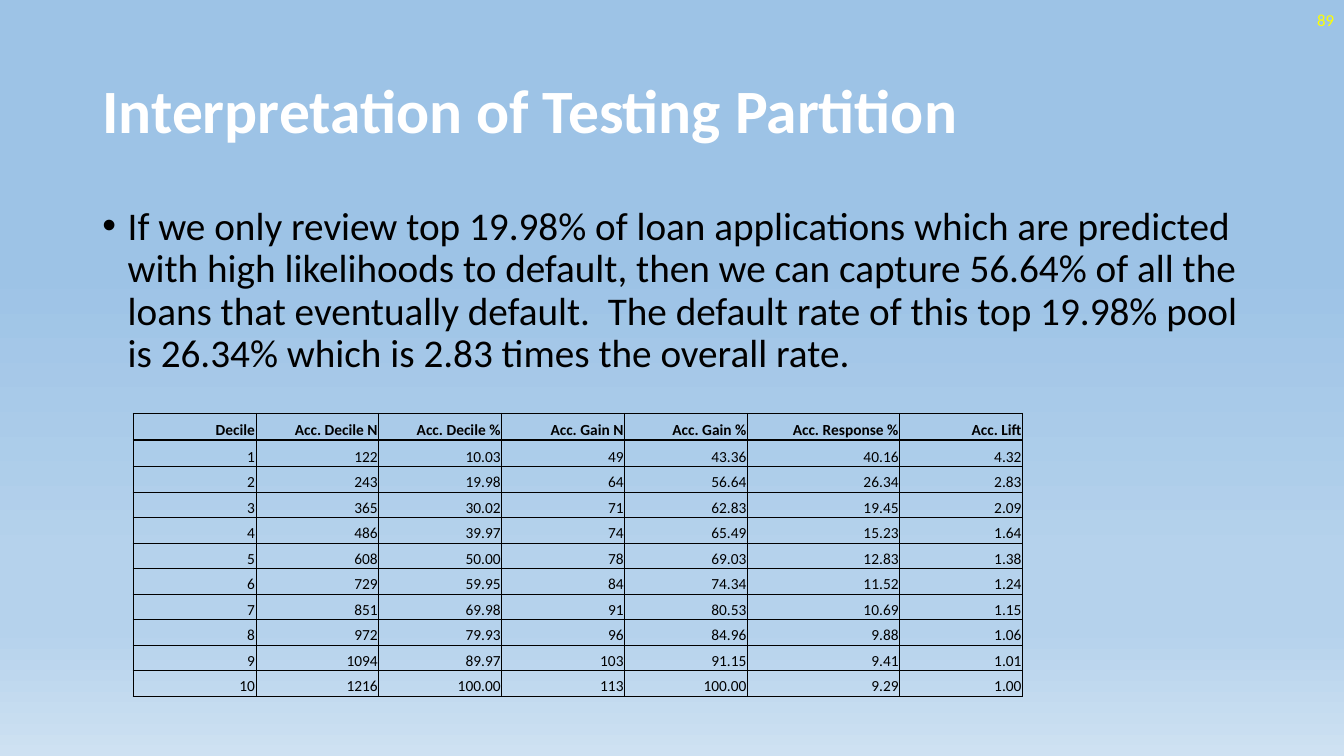
"""Build the slide that interprets the testing partition of a loan default model."""
from dataclasses import dataclass

import lxml.etree
import pptx
import pptx.dml.color
import pptx.enum.text
import pptx.oxml.ns
import pptx.util

Pt = pptx.util.Pt
ALIGN = pptx.enum.text.PP_ALIGN
ANCHOR = pptx.enum.text.MSO_ANCHOR
FONT = "Calibri"
COLORS = {"title": "FFFFFF", "text": "000000", "number": "FFFF00",
          "sky": "9DC3E6", "mid": "B5D2EC", "pale": "CEE1F2"}
BACKGROUND_STOPS = [(35, "sky"), (74, "mid"), (83, "mid"), (100, "pale")]
THIN, THICK = 0.5, 2
COLUMN_WIDTH, WIDE_COLUMN = 87.8, 108.7
TOP_ROW, DATA_ROW = 19.1, 18.2


@dataclass(frozen=True)
class Column:
    """A table column with its heading, values and width."""
    heading: str
    values: str
    width: float = COLUMN_WIDTH


COLUMNS = [
    Column("Decile", "1 2 3 4 5 6 7 8 9 10"),
    Column("Acc. Decile N", "122 243 365 486 608 729 851 972 1094 1216"),
    Column("Acc. Decile %", "10.03 19.98 30.02 39.97 50.00 59.95 69.98 79.93 89.97 100.00"),
    Column("Acc. Gain N", "49 64 71 74 78 84 91 96 103 113"),
    Column("Acc. Gain %", "43.36 56.64 62.83 65.49 69.03 74.34 80.53 84.96 91.15 100.00"),
    Column("Acc. Response %", "40.16 26.34 19.45 15.23 12.83 11.52 10.69 9.88 9.41 9.29",
           WIDE_COLUMN),
    Column("Acc. Lift", "4.32 2.83 2.09 1.64 1.38 1.24 1.15 1.06 1.01 1.00"),
]


def sub(parent, tag: str, **attributes: str):
    """Append a DrawingML child element."""
    return lxml.etree.SubElement(parent, pptx.oxml.ns.qn(tag), attributes)


def place(sp, left: float, top: float, width: float, height: float) -> None:
    """Set the position and size of a shape in points."""
    sp.left, sp.top, sp.width, sp.height = Pt(left), Pt(top), Pt(width), Pt(height)


def write(tf, text: str, size: float, color: str, bold: bool = False, align=ALIGN.LEFT):
    """Write one formatted paragraph and return it."""
    tf.text = text
    p = tf.paragraphs[0]
    p.alignment = align
    p.font.name, p.font.size, p.font.bold = FONT, Pt(size), bold
    p.font.color.rgb = pptx.dml.color.RGBColor.from_string(COLORS[color])
    return p


def paint_background(s) -> None:
    """Fill the slide background with a vertical gradient."""
    fill = s.background.fill
    fill.gradient()
    fill.gradient_angle = 270
    stops = next(s.element.iter(pptx.oxml.ns.qn("a:gsLst")))
    for stop in list(stops):
        stops.remove(stop)
    for position, color in BACKGROUND_STOPS:
        stop = sub(stops, "a:gs", pos=str(position * 1000))
        sub(stop, "a:srgbClr", val=COLORS[color])


def draw_cell(cell, text: str, row: int) -> None:
    """Write a right-aligned cell with black borders."""
    write(cell.text_frame, text, 11, "text", row == 0, ALIGN.RIGHT)
    cell.vertical_anchor = ANCHOR.BOTTOM
    cell.margin_left = cell.margin_right = cell.margin_top = Pt(0.7)
    cell.margin_bottom = Pt(0)
    borders = {"a:lnL": THIN, "a:lnR": THIN,
               "a:lnT": THICK if row == 1 else THIN,
               "a:lnB": THICK if row == 0 else THIN}
    properties = cell._tc.get_or_add_tcPr()
    for tag, width in borders.items():
        line = sub(properties, tag, w=str(Pt(width)))
        sub(sub(line, "a:solidFill"), "a:srgbClr", val=COLORS["text"])
    cell.fill.background()


def draw_table(s, columns: list[Column]) -> None:
    """Draw the decile table from its columns."""
    contents = [[c.heading, *c.values.split()] for c in columns]
    heights = [TOP_ROW] * 2 + [DATA_ROW] * (len(contents[0]) - 2)
    table = s.shapes.add_table(len(heights), len(columns), Pt(95), Pt(295.2),
                               Pt(sum(c.width for c in columns)), Pt(sum(heights))).table
    table.first_row = table.horz_banding = False
    for row, height in zip(table.rows, heights):
        row.height = Pt(height)
    for i, (column, texts) in enumerate(zip(columns, contents)):
        table.columns[i].width = Pt(column.width)
        for j, text in enumerate(texts):
            draw_cell(table.cell(j, i), text, j)


def main() -> None:
    """Build and save the presentation."""
    prs = pptx.Presentation()
    prs.slide_width, prs.slide_height = Pt(960), Pt(540)
    s = prs.slides.add_slide(prs.slide_layouts[1])
    paint_background(s)

    title = s.shapes.title
    place(title, 66, 28.8, 828, 104.4)
    title.text_frame.vertical_anchor = ANCHOR.MIDDLE
    title.text_frame.auto_size = pptx.enum.text.MSO_AUTO_SIZE.NONE
    p = write(title.text_frame, "Interpretation of Testing Partition", 44, "title", True)
    p.line_spacing = 0.9

    body = s.placeholders[1]
    place(body, 66, 144, 828, 342.7)
    body.text_frame.auto_size = pptx.enum.text.MSO_AUTO_SIZE.NONE
    p = write(body.text_frame,
              "If we only review top 19.98% of loan applications which are predicted with high "
              "likelihoods to default, then we can capture 56.64% of all the loans that "
              "eventually default.  The default rate of this top 19.98% pool is 26.34% which is "
              "2.83 times the overall rate.", 28, "text")
    p.line_spacing, p.space_before = 0.9, Pt(10)
    properties = p._p.get_or_add_pPr()
    properties.set("marL", str(Pt(18)))
    properties.set("indent", str(Pt(-18)))

    number = s.shapes.add_textbox(Pt(744), Pt(0), Pt(216), Pt(28.8))
    number.text_frame.word_wrap = True
    number.text_frame.vertical_anchor = ANCHOR.MIDDLE
    write(number.text_frame, "89", 12, "number", align=ALIGN.RIGHT)

    draw_table(s, COLUMNS)
    prs.save("out.pptx")


if __name__ == "__main__":
    main()
